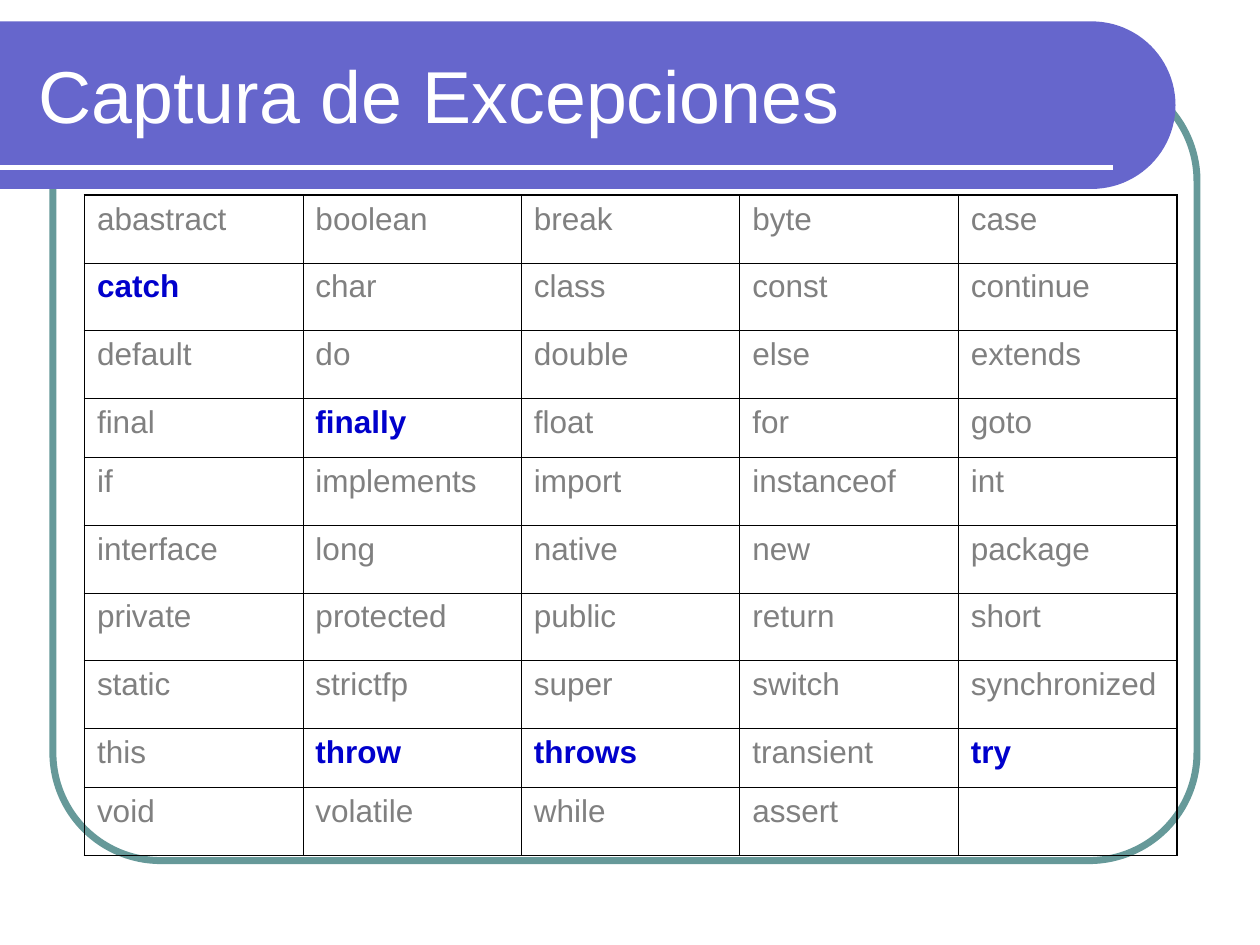
from dataclasses import dataclass
from math import cos, pi, sin

from lxml.etree import SubElement
from pptx import Presentation
from pptx.dml.color import RGBColor
from pptx.enum.shapes import MSO_CONNECTOR, MSO_SHAPE
from pptx.enum.text import MSO_ANCHOR
from pptx.oxml.ns import qn
from pptx.slide import Slide
from pptx.table import _Cell
from pptx.text.text import Font
from pptx.util import Inches, Pt

COLORS = {
    "band": "6666CC",
    "frame": "669999",
    "title": "FFFFFF",
    "keyword": "808080",
    "highlight": "0000CC",
    "border": "000000",
}
KEYWORD_ROWS = [
    "abastract boolean break byte case",
    "catch char class const continue",
    "default do double else extends",
    "final finally float for goto",
    "if implements import instanceof int",
    "interface long native new package",
    "private protected public return short",
    "static strictfp super switch synchronized",
    "this throw throws transient try",
    "void volatile while assert",
]
EXCEPTION_WORDS = {"catch", "finally", "throw", "throws", "try"}
OUTER_WIDTH = 1.08
INNER_WIDTH = 0.45


@dataclass(frozen=True)
class Box:
    left: float
    top: float
    width: float
    height: float

    def lengths(self) -> tuple:
        return tuple(Inches(v) for v in (self.left, self.top, self.width, self.height))


@dataclass(frozen=True)
class KeywordGrid:
    box: Box
    columns: int
    short_rows: tuple[int, ...]
    short_height: float

    def row_height(self, row: int) -> float:
        if row in self.short_rows:
            return self.short_height
        spare = self.box.height - len(self.short_rows) * self.short_height
        return spare / (len(KEYWORD_ROWS) - len(self.short_rows))


FRAME = Box(0.42, 0.58, 9.08, 6.25)
BAND = Box(0, 0.17, 9.33, 1.33)
TITLE = Box(0.21, 0.25, 8.77, 1)
GRID = KeywordGrid(Box(0.67, 1.55, 8.67, 5.24), 5, (3, 8), 0.47)


def color(name: str) -> RGBColor:
    return RGBColor.from_string(COLORS[name])


def style_font(font: Font, size: float, color_name: str, bold: bool = False) -> None:
    font.name = "Arial"
    font.size = Pt(size)
    font.bold = bold
    font.color.rgb = color(color_name)


def draw_frame(slide: Slide) -> None:
    frame = slide.shapes.add_shape(MSO_SHAPE.ROUNDED_RECTANGLE, *FRAME.lengths())
    frame.adjustments[0] = 0.137
    frame.shadow.inherit = False
    frame.fill.background()
    frame.line.color.rgb = color("frame")
    frame.line.width = Pt(4)


def draw_band(slide: Slide, steps: int = 48) -> None:
    radius = BAND.height / 2
    center_x = BAND.width - radius
    center_y = BAND.top + radius
    angles = [pi * step / steps - pi / 2 for step in range(steps + 1)]
    arc = [(center_x + radius * cos(a), center_y + radius * sin(a)) for a in angles]
    outline = slide.shapes.build_freeform(0, Inches(BAND.top))
    corners = arc + [(0, BAND.top + BAND.height)]
    outline.add_line_segments([(Inches(x), Inches(y)) for x, y in corners], close=True)
    band = outline.convert_to_shape()
    band.shadow.inherit = False
    band.fill.solid()
    band.fill.fore_color.rgb = color("band")
    band.line.fill.background()


def draw_rule(slide: Slide) -> None:
    rule = slide.shapes.add_connector(
        MSO_CONNECTOR.STRAIGHT, 0, Inches(1.33), Inches(8.83), Inches(1.33)
    )
    rule.line.color.rgb = color("title")
    rule.line.width = Pt(3)
    SubElement(rule.line._get_or_add_ln().getparent(), qn("a:effectLst"))


def draw_title(slide: Slide) -> None:
    title = slide.shapes.add_textbox(*TITLE.lengths())
    title.text_frame.word_wrap = True
    title.text_frame.vertical_anchor = MSO_ANCHOR.MIDDLE
    title.text_frame.text = "Captura de Excepciones"
    style_font(title.text_frame.paragraphs[0].runs[0].font, 42, "title")


def set_border(cell: _Cell, side: str, width: float) -> None:
    border = SubElement(cell._tc.get_or_add_tcPr(), qn(f"a:ln{side}"), w=str(Pt(width)))
    fill = SubElement(border, qn("a:solidFill"))
    SubElement(fill, qn("a:srgbClr"), val=COLORS["border"])


def draw_keywords(slide: Slide) -> None:
    last_row = len(KEYWORD_ROWS) - 1
    last_column = GRID.columns - 1
    table = slide.shapes.add_table(
        len(KEYWORD_ROWS), GRID.columns, *GRID.box.lengths()
    ).table
    table.first_row = False
    table.horz_banding = False
    for column in table.columns:
        column.width = Inches(GRID.box.width / GRID.columns)
    for r, line in enumerate(KEYWORD_ROWS):
        table.rows[r].height = Inches(GRID.row_height(r))
        for c in range(GRID.columns):
            cell = table.cell(r, c)
            outer_sides = {
                "L": c == 0, "R": c == last_column, "T": r == 0, "B": r == last_row
            }
            for side, outer in outer_sides.items():
                set_border(cell, side, OUTER_WIDTH if outer else INNER_WIDTH)
            cell.fill.background()
        for c, word in enumerate(line.split()):
            paragraph = table.cell(r, c).text_frame.paragraphs[0]
            paragraph.text = word
            paragraph.space_before = Pt(4.5)
            special = word in EXCEPTION_WORDS
            color_name = "highlight" if special else "keyword"
            style_font(paragraph.runs[0].font, 18, color_name, special)


def main() -> None:
    presentation = Presentation()
    presentation.slide_width = Inches(10)
    presentation.slide_height = Inches(7.5)
    slide = presentation.slides.add_slide(presentation.slide_layouts[6])
    draw_frame(slide)
    draw_band(slide)
    draw_rule(slide)
    draw_title(slide)
    draw_keywords(slide)
    presentation.save("out.pptx")


if __name__ == "__main__":
    main()
